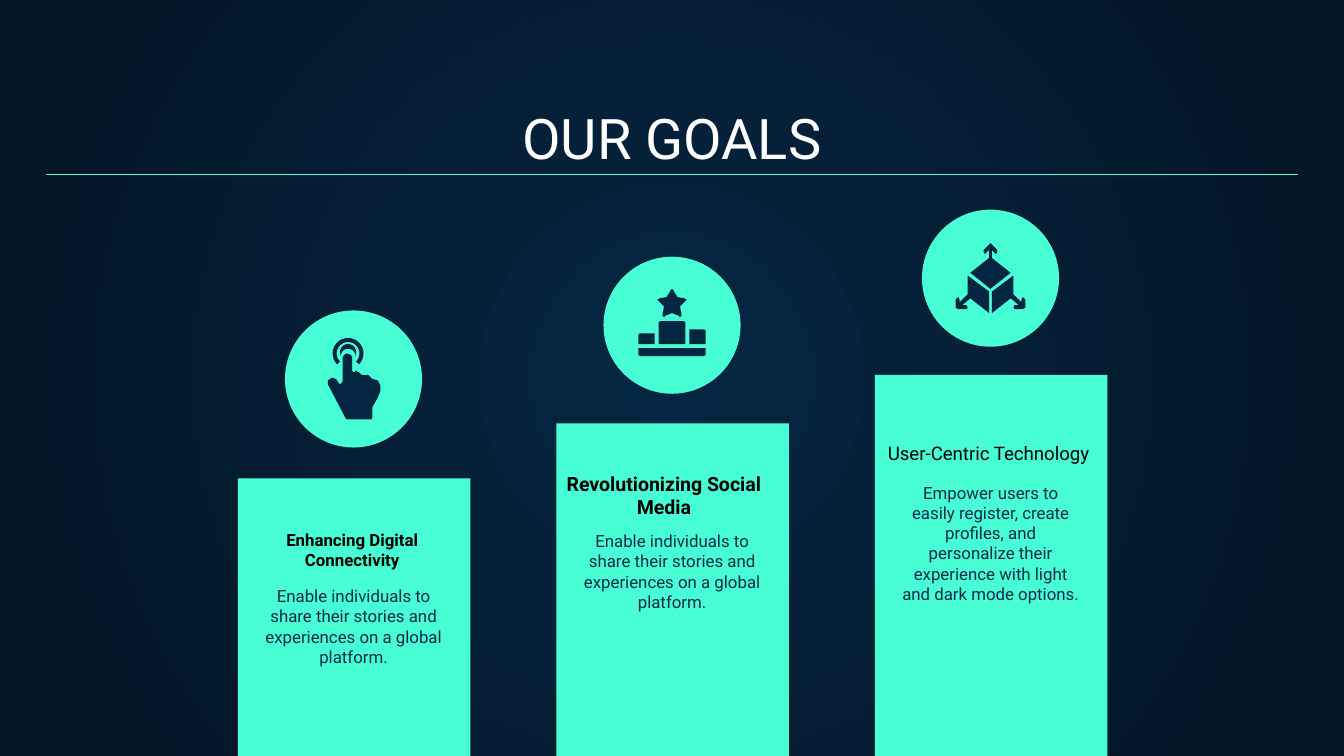
from math import cos, radians, sin

from pptx import Presentation
from pptx.dml.color import RGBColor
from pptx.enum.shapes import MSO_CONNECTOR, MSO_SHAPE
from pptx.enum.text import MSO_ANCHOR, PP_ALIGN
from pptx.oxml import parse_xml
from pptx.oxml.ns import nsdecls, qn
from pptx.util import Inches, Pt

COLORS = {
    "mint": "48FFD5",
    "navy": "052643",
    "night": "041523",
    "ink": "0E2A47",
    "black": "000000",
    "white": "FFFFFF",
}
FONT = "Roboto"
CIRCLE = 1.02


def color(name):
    return RGBColor.from_string(COLORS[name])


def write(shape, text, size=9, fill="ink", bold=False, anchor=MSO_ANCHOR.TOP):
    frame = shape.text_frame
    frame.word_wrap = True
    frame.vertical_anchor = anchor
    frame.margin_left = frame.margin_right = Inches(0.1)
    frame.margin_top = frame.margin_bottom = Inches(0.1)
    para = frame.paragraphs[0]
    para.alignment = PP_ALIGN.CENTER
    span = para.add_run()
    span.text = text
    span.font.name = FONT
    span.font.size = Pt(size)
    span.font.bold = bold
    span.font.color.rgb = color(fill)


# Icon outlines, in hundredths of an inch from the corner of their circle
def mirrored(half):
    """Complete a right half, running from top to bottom, with its left half."""
    return half + [(100 * CIRCLE - x, y) for x, y in reversed(half)]


def arc(x, y, radius, start, end, steps=24):
    angles = [radians(start + (end - start) * i / steps) for i in range(steps + 1)]
    return [(x + radius * cos(a), y + radius * sin(a)) for a in angles]


TOUCH_ICON = [
    # Outer and inner ripple
    arc(47, 32, 11.5, 135, 405) + arc(47, 32, 8.5, 405, 135),
    arc(47, 31, 6, 160, 380) + arc(47, 34, 5.5, 360, 180),
    # Hand
    [(46, 32), (44, 33), (43, 35), (43, 53), (41, 55), (40, 54), (38, 51),
     (35, 50), (32, 52), (32, 55), (45, 80), (46, 81), (64, 81), (65, 80),
     (65, 72), (69, 65), (71, 60), (71, 56), (69, 52), (65, 51), (64, 50),
     (62, 48), (60, 48), (57, 48), (55, 46), (53, 45), (51, 46), (50, 45),
     (50, 35), (49, 33)],
]
PODIUM_ICON = [
    # Star
    mirrored([(51, 24), (52, 25), (55, 30), (60, 31), (62, 32), (61, 33),
              (57, 37), (58, 43), (58, 44), (57, 45), (56, 44), (51, 42)]),
    # Steps and base
    [(64, 54), (75, 54), (76, 55), (76, 65), (64, 65)],
    mirrored([(60, 48), (61, 49), (61, 65)]),
    mirrored([(76, 68), (76, 73), (75, 74)]),
    [(27, 57), (38, 57), (38, 65), (26, 65), (26, 58)],
]
CUBE_SIDE = [(68, 49), (52, 61), (52, 77), (66, 66), (72, 71), (69, 71), (68, 73),
             (69, 74), (75, 74), (77, 73), (77, 67), (75, 65), (74, 67), (74, 69),
             (68, 63)]
CUBE_ICON = [
    CUBE_SIDE,
    [(100 * CIRCLE - x, y) for x, y in CUBE_SIDE],
    mirrored([(51, 25), (52, 26), (56, 30), (56, 32), (55, 33), (54, 32),
              (52, 30), (52, 36), (66, 47), (51, 59)]),
]


class GoalsSlide:
    def __init__(self, deck):
        self.page = deck.slides.add_slide(deck.slide_layouts[5])
        self.shapes = self.page.shapes

    def background(self, inner, outer):
        fill = self.page.background.fill
        fill.gradient()
        for stop, name in zip(fill.gradient_stops, (inner, outer)):
            stop.color.rgb = color(name)
        gradient = self.page.element.find(".//" + qn("a:gradFill"))
        gradient.remove(gradient.find(qn("a:lin")))
        gradient.append(parse_xml(
            f'<a:path {nsdecls("a")} path="circle">'
            '<a:fillToRect l="50000" t="50000" r="50000" b="50000"/></a:path>'))

    def title(self, text, left, top, width, height):
        box = self.shapes.title
        box.left, box.top = Inches(left), Inches(top)
        box.width, box.height = Inches(width), Inches(height)
        write(box, text, size=30, fill="white", anchor=MSO_ANCHOR.BOTTOM)

    def text(self, text, left, top, width, height, **style):
        box = self.shapes.add_textbox(
            Inches(left), Inches(top), Inches(width), Inches(height))
        write(box, text, **style)

    def paint(self, shape, fill):
        shape.shadow.inherit = False
        shape.fill.solid()
        shape.fill.fore_color.rgb = color(fill)
        shape.line.fill.background()

    def shape(self, kind, left, top, width, height):
        shape = self.shapes.add_shape(
            kind, Inches(left), Inches(top), Inches(width), Inches(height))
        self.paint(shape, "mint")

    def icon(self, outlines, left, top):
        for outline in outlines:
            points = [(Inches(left + x / 100), Inches(top + y / 100)) for x, y in outline]
            builder = self.shapes.build_freeform(*points[0])
            builder.add_line_segments(points[1:], close=True)
            self.paint(builder.convert_to_shape(), "navy")

    def line(self, left, right, top):
        rule = self.shapes.add_connector(
            MSO_CONNECTOR.STRAIGHT, Inches(left), Inches(top), Inches(right), Inches(top))
        rule.line.color.rgb = color("mint")
        rule.line.width = Pt(0.75)
        rule.element.spPr.append(parse_xml(f'<a:effectLst {nsdecls("a")}/>'))


SHARE = "Enable individuals to share their stories and experiences on a global platform."
EMPOWER = ("Empower users to easily register, create profiles, and personalize "
           "their experience with light and dark mode options.")

# Bar top and bottom, circle top, icon, body; heading with left, top, width and format
GOALS = [
    (3.56, 5.66, 2.31, TOUCH_ICON, SHARE, "Enhancing Digital Connectivity",
     (1.67, 4.14, 1.9), {"size": 9, "bold": True}),
    (3.15, 5.66, 1.91, PODIUM_ICON, SHARE, "Revolutionizing Social Media",
     (3.99, 3.76, 1.9), {"size": 10.5, "bold": True}),
    (2.79, 5.65, 1.56, CUBE_ICON, EMPOWER, "User-Centric Technology",
     (6.49, 3.37, 1.73), {"size": 10}),
]


def main():
    deck = Presentation()
    deck.slide_width = Inches(10)
    deck.slide_height = deck.slide_width * 9 // 16
    slide = GoalsSlide(deck)
    slide.background("navy", "night")

    # Title and rule
    slide.title("OUR GOALS", 0.34, 0.71, 9.32, 0.66)
    slide.line(0.34, 9.66, 1.3)

    # Rising bars, each with a circled icon above
    for i, (top, bottom, circle_top, icon, body, heading, place, style) in enumerate(GOALS):
        left = 1.77 + 2.37 * i
        slide.shape(MSO_SHAPE.RECTANGLE, left, top, 1.73, bottom - top)
        slide.text(body, left + 0.1, top + 0.7, 1.52, 0.55)
        slide.text(heading, *place, 0.17, fill="black", anchor=MSO_ANCHOR.BOTTOM, **style)
        slide.shape(MSO_SHAPE.OVAL, left + 0.35, circle_top, CIRCLE, CIRCLE)
        slide.icon(icon, left + 0.35, circle_top)

    deck.save("out.pptx")


if __name__ == "__main__":
    main()
